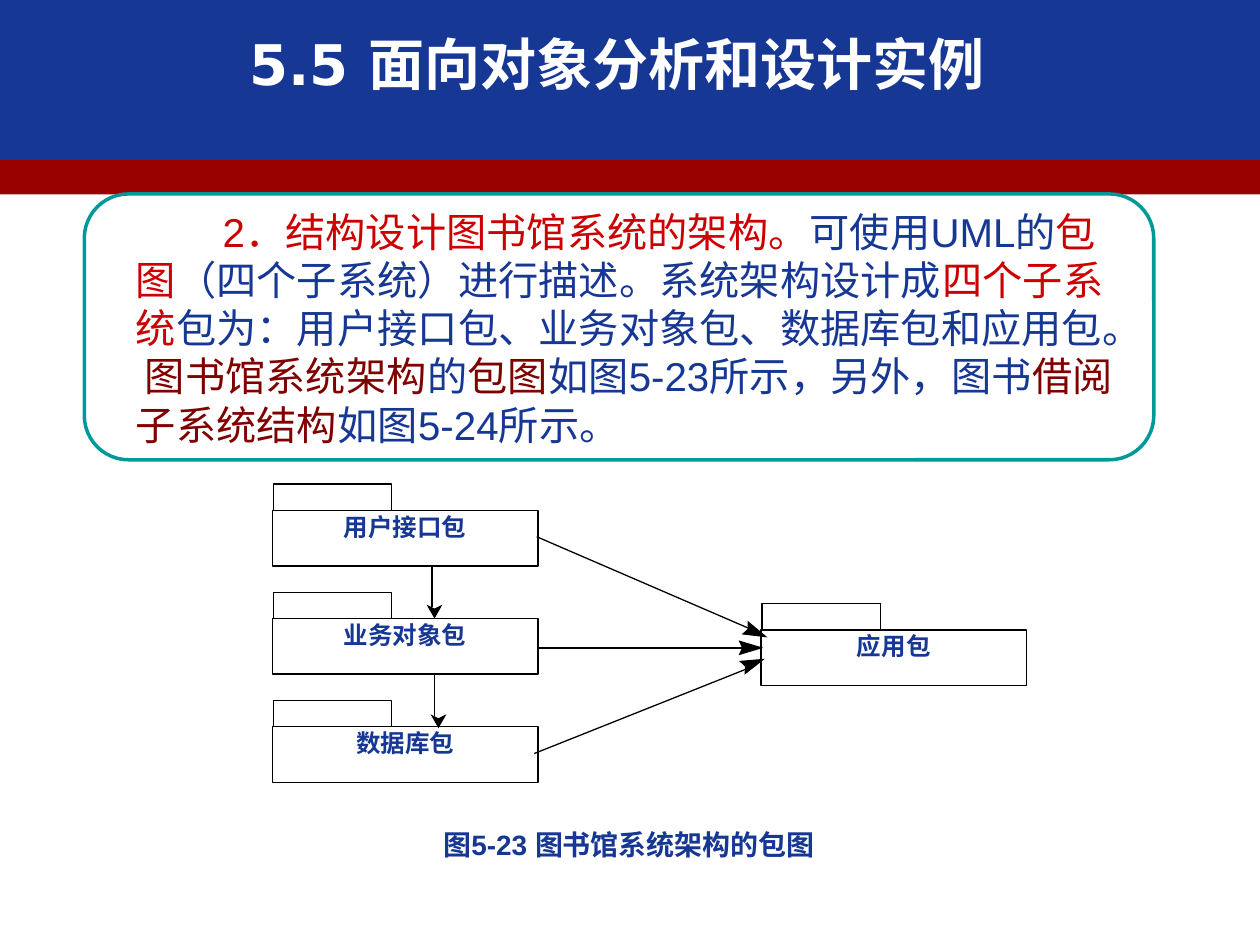
import math
from pptx import Presentation, util as u
from pptx.dml.color import RGBColor
from pptx.enum import shapes, text
from pptx.oxml import ns
from lxml import etree

BLUE, RED, MAROON, TEAL = "163794", "CC0000", "800000", "009999"
BLACK, WHITE = "000000", "FFFFFF"

TITLE = "5.5 面向对象分析和设计实例"
CAPTION = "图5-23 图书馆系统架构的包图"
BODY = [
    ("2．结构设计图书馆系统的架构。", RED),
    ("可使用UML的", BLUE),
    ("包图", RED),
    ("（四个子系统）进行描述。系统架构设计成", BLUE),
    ("四个子系统", RED),
    ("包为：用户接口包、业务对象包、数据库包和应用包。 ", BLUE),
    ("图书馆系统架构", MAROON),
    ("的", BLUE),
    ("包图", MAROON),
    ("如图5-23所示，另外，图书", BLUE),
    ("借阅子系统结构", MAROON),
    ("如图5-24所示。", BLUE),
]
BANDS = [(0, 3.28, BLUE), (3.23, 0.69, "990000")]
STACK = ["用户接口包", "业务对象包", "数据库包"]
STACK_LEFT, STACK_TOP, STACK_STEP = 5.49, 10.29, 2.18
APPLICATION = ("应用包", 15.34, 12.7)
PACKAGE_SIZE = (5.36, 1.12)
TAB_SIZE = (2.39, 0.53)
LONG_HEAD = (0.5, 0.15, 0.43)
SHORT_HEAD = (0.28, 0.16, 0.2)
ARROWS = [
    ((10.82, 10.82), (15.29, 12.75), (15.47, 12.85), LONG_HEAD),
    ((10.82, 13.06), (15.09, 13.06), (15.39, 13.06), LONG_HEAD),
    ((10.77, 15.19), (15.24, 13.41), (15.42, 13.28), LONG_HEAD),
    ((8.71, 11.43), (8.71, 12.24), (8.76, 12.47), SHORT_HEAD),
    ((8.76, 13.61), (8.76, 14.43), (8.84, 14.68), SHORT_HEAD),
]


def color(value):
    return RGBColor.from_string(value)


def paint(shape, fill=None, line=None, weight=0.75):
    shape.shadow.inherit = False
    if fill:
        shape.fill.solid()
        shape.fill.fore_color.rgb = color(fill)
    else:
        shape.fill.background()
    if line:
        shape.line.color.rgb = color(line)
        shape.line.width = u.Pt(weight)
    else:
        shape.line.fill.background()
    return shape


def add_box(slide, left, top, width, height, kind=shapes.MSO_SHAPE.RECTANGLE, **style):
    lengths = [u.Cm(value) for value in (left, top, width, height)]
    return paint(slide.shapes.add_shape(kind, *lengths), **style)


def write(shape, spans, size, font, bold=False, align=text.PP_ALIGN.LEFT,
          anchor=text.MSO_ANCHOR.TOP, inset=0.13, indent=0):
    frame = shape.text_frame
    frame.word_wrap = True
    frame.vertical_anchor = anchor
    frame.margin_left = frame.margin_right = u.Cm(0.25)
    frame.margin_top = frame.margin_bottom = u.Cm(inset)
    para = frame.paragraphs[0]
    para.alignment = align
    if indent:
        para._p.get_or_add_pPr().set("indent", str(u.Cm(indent)))
    for words, shade in spans:
        span = para.add_run()
        span.text = words
        span.font.size = u.Pt(size)
        span.font.name = font
        span.font.bold = bold
        span.font.color.rgb = color(shade)


def add_text(slide, left, top, width, height, spans, **style):
    box = slide.shapes.add_textbox(u.Cm(left), u.Cm(top), u.Cm(width), u.Cm(height))
    write(box, spans, **style)


def add_package(slide, name, left, top):
    body = add_box(slide, left, top, *PACKAGE_SIZE, fill=WHITE, line=BLACK)
    write(body, [(name, BLUE)], size=14, font="Times New Roman", bold=True,
          align=text.PP_ALIGN.CENTER, inset=0.03)
    add_box(slide, left + 0.02, top - TAB_SIZE[1], *TAB_SIZE, fill=WHITE, line=BLACK)


def add_arrow(slide, start, end, tip, head):
    points = [u.Cm(value) for value in start + end]
    line = slide.shapes.add_connector(shapes.MSO_CONNECTOR.STRAIGHT, *points)
    line.line.color.rgb = color(BLACK)
    line.line.width = u.Pt(0.75)
    etree.SubElement(line._element.spPr, ns.qn("a:effectLst"))

    length, half, notch = head
    angle = math.atan2(end[1] - start[1], end[0] - start[0])
    corners = []
    for back, side in [(0, 0), (length, half), (notch, 0), (length, -half)]:
        x = tip[0] - back * math.cos(angle) - side * math.sin(angle)
        y = tip[1] - back * math.sin(angle) + side * math.cos(angle)
        corners.append((u.Cm(x), u.Cm(y)))
    builder = slide.shapes.build_freeform(*corners[0])
    builder.add_line_segments(corners[1:], close=True)
    paint(builder.convert_to_shape(), fill=BLACK)


def main():
    deck = Presentation()
    deck.slide_width, deck.slide_height = u.Cm(25.4), u.Cm(19.05)
    slide = deck.slides.add_slide(deck.slide_layouts[5])

    title = slide.shapes.title
    title.left, title.top = u.Cm(1.09), u.Cm(0.53)
    title.width, title.height = u.Cm(22.71), u.Cm(1.47)
    write(title, [(TITLE, WHITE)], size=32, font="DejaVu Sans", bold=True,
          align=text.PP_ALIGN.CENTER, anchor=text.MSO_ANCHOR.MIDDLE)
    for top, height, fill in BANDS:
        band = add_box(slide, 0, top, 25.4, height, fill=fill)
        title.element.addprevious(band.element)

    add_text(slide, 2.49, 4.04, 20.4, 5.89, BODY, size=23, font="Arial", indent=1.75)
    for row, name in enumerate(STACK):
        add_package(slide, name, STACK_LEFT, STACK_TOP + row * STACK_STEP)
    add_package(slide, *APPLICATION)
    for arrow in ARROWS:
        add_arrow(slide, *arrow)
    add_text(slide, 8.69, 16.56, 12.7, 0.94, [(CAPTION, BLUE)],
             size=16, font="Arial", bold=True)
    add_box(slide, 1.7, 3.91, 21.56, 5.36, kind=shapes.MSO_SHAPE.ROUNDED_RECTANGLE,
            line=TEAL, weight=2)
    deck.save("out.pptx")


if __name__ == "__main__":
    main()
